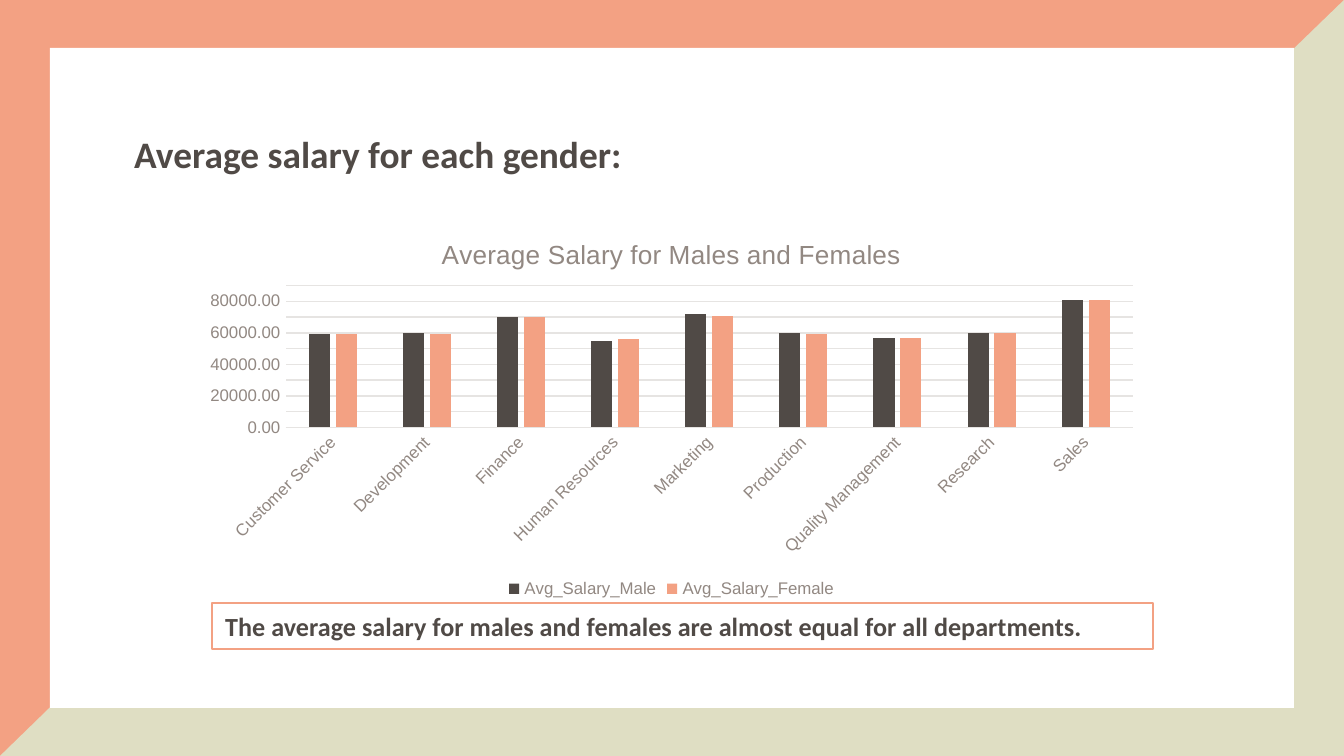
from dataclasses import dataclass

from lxml import etree
from pptx import Presentation
from pptx.chart.data import CategoryChartData
from pptx.dml.color import RGBColor
from pptx.enum import chart as ch
from pptx.enum import text
from pptx.enum.shapes import MSO_SHAPE
from pptx.oxml.ns import qn
from pptx.util import Emu, Pt

PX = 914400 / 134.4  # EMU in one px
SLIDE_W, SLIDE_H = 1344, 756

CORAL = RGBColor(0xF3, 0xA1, 0x83)
SAGE = RGBColor(0xDF, 0xDE, 0xC3)
WHITE = RGBColor(0xFF, 0xFF, 0xFF)
DARK = RGBColor(0x50, 0x4A, 0x46)
TAUPE = RGBColor(0x92, 0x88, 0x82)
GRID = RGBColor(0xE6, 0xE4, 0xE2)


@dataclass
class Box:
    left: int
    top: int
    width: int
    height: int

    def emu(self) -> list[Emu]:
        return [px(n) for n in (self.left, self.top, self.width, self.height)]


@dataclass
class Caption:
    words: str
    box: Box
    size: int
    align: text.PP_ALIGN
    wrap: bool
    border: RGBColor | None = None


@dataclass
class Series:
    name: str
    salaries: list[int]
    color: RGBColor


CAPTIONS = [
    Caption("The average salary for males and females are almost equal for all departments.",
            Box(212, 603, 941, 46), 14, text.PP_ALIGN.LEFT, True, CORAL),
    Caption("Average salary for each gender:",
            Box(103, 124, 550, 59), 20, text.PP_ALIGN.CENTER, False),
]
DEPARTMENTS = ["Customer Service", "Development", "Finance", "Human Resources", "Marketing",
               "Production", "Quality Management", "Research", "Sales"]
SALARIES = [
    Series("Avg_Salary_Male",
           [59000, 60000, 70000, 55000, 72000, 60000, 57000, 60000, 81000], DARK),
    Series("Avg_Salary_Female",
           [59000, 59000, 70000, 56000, 71000, 59000, 57000, 60000, 81000], CORAL),
]


def px(n: int) -> Emu:
    return Emu(round(n * PX))


def set_font(font, size: int, color: RGBColor, name: str, bold: bool = False) -> None:
    formats = {"size": Pt(size), "name": name, "bold": bold}
    for key, value in formats.items():
        setattr(font, key, value)
    font.color.rgb = color


def set_line(line, color: RGBColor) -> None:
    line.color.rgb = color
    line.width = Pt(0.75)


def paint(shape, color: RGBColor) -> None:
    shape.shadow.inherit = False
    shape.fill.solid()
    shape.fill.fore_color.rgb = color
    shape.line.fill.background()


def draw_frame(slide) -> None:
    corner = [(SLIDE_W, 0), (1153, 185), (216, 546), (0, SLIDE_H), (SLIDE_W, SLIDE_H)]
    builder = slide.shapes.build_freeform(*corner[0], scale=PX)
    builder.add_line_segments(corner[1:], close=True)
    paint(builder.convert_to_shape(), SAGE)
    panel = slide.shapes.add_shape(MSO_SHAPE.RECTANGLE, *Box(50, 48, 1244, 660).emu())
    paint(panel, WHITE)


def draw_caption(slide, caption: Caption) -> None:
    shape = slide.shapes.add_textbox(*caption.box.emu())
    if caption.border is not None:
        set_line(shape.line, caption.border)
    frame = shape.text_frame
    formats = {"word_wrap": caption.wrap, "vertical_anchor": text.MSO_ANCHOR.MIDDLE,
               "auto_size": text.MSO_AUTO_SIZE.SHAPE_TO_FIT_TEXT}
    for key, value in formats.items():
        setattr(frame, key, value)
    paragraph = frame.paragraphs[0]
    paragraph.alignment = caption.align
    run = paragraph.add_run()
    run.text = caption.words
    set_font(run.font, caption.size, DARK, "Calibri", bold=True)


def draw_chart(slide, box: Box) -> None:
    data = CategoryChartData(number_format="0.00")
    data.categories = DEPARTMENTS
    for series in SALARIES:
        data.add_series(series.name, series.salaries)
    chart = slide.shapes.add_chart(
        ch.XL_CHART_TYPE.COLUMN_CLUSTERED, *box.emu(), data).chart
    set_font(chart.font, 10, DARK, "Arial")

    # Title and legend
    chart.has_title = True
    heading = chart.chart_title.text_frame
    heading.text = "Average Salary for Males and Females"
    set_font(heading.paragraphs[0].runs[0].font, 14, TAUPE, "Arial")
    chart.chart_title.include_in_layout = False
    chart.has_legend = True
    chart.legend.position = ch.XL_LEGEND_POSITION.BOTTOM
    chart.legend.include_in_layout = False
    set_font(chart.legend.font, 9, TAUPE, "Arial")

    # Columns
    plot = chart.plots[0]
    for key, value in {"gap_width": 219, "overlap": -27, "vary_by_categories": False}.items():
        setattr(plot, key, value)
    for columns, series in zip(plot.series, SALARIES):
        columns.format.fill.solid()
        columns.format.fill.fore_color.rgb = series.color

    # Axes
    departments, salary = chart.category_axis, chart.value_axis
    for axis in (departments, salary):
        axis.major_tick_mark = axis.minor_tick_mark = ch.XL_TICK_MARK.NONE
        set_font(axis.tick_labels.font, 9, TAUPE, "Arial")
    set_line(departments.format.line, GRID)
    departments._element.find(qn("c:txPr")).find(qn("a:bodyPr")).set("rot", "-2700000")
    for key, value in {"minimum_scale": 0, "maximum_scale": 90000, "major_unit": 10000}.items():
        setattr(salary, key, value)
    salary.format.line.fill.background()
    set_line(salary.major_gridlines.format.line, GRID)
    salary.tick_labels.number_format = "0.00"
    salary.tick_labels.number_format_is_linked = False


def main() -> None:
    deck = Presentation()
    deck.slide_width, deck.slide_height = px(SLIDE_W), px(SLIDE_H)
    slide = deck.slides.add_slide(deck.slide_layouts[6])
    slide.background.fill.solid()
    slide.background.fill.fore_color.rgb = CORAL
    draw_frame(slide)
    draw_chart(slide, Box(191, 218, 961, 386))
    for caption in CAPTIONS:
        draw_caption(slide, caption)
    deck.save("out.pptx")


if __name__ == "__main__":
    main()
